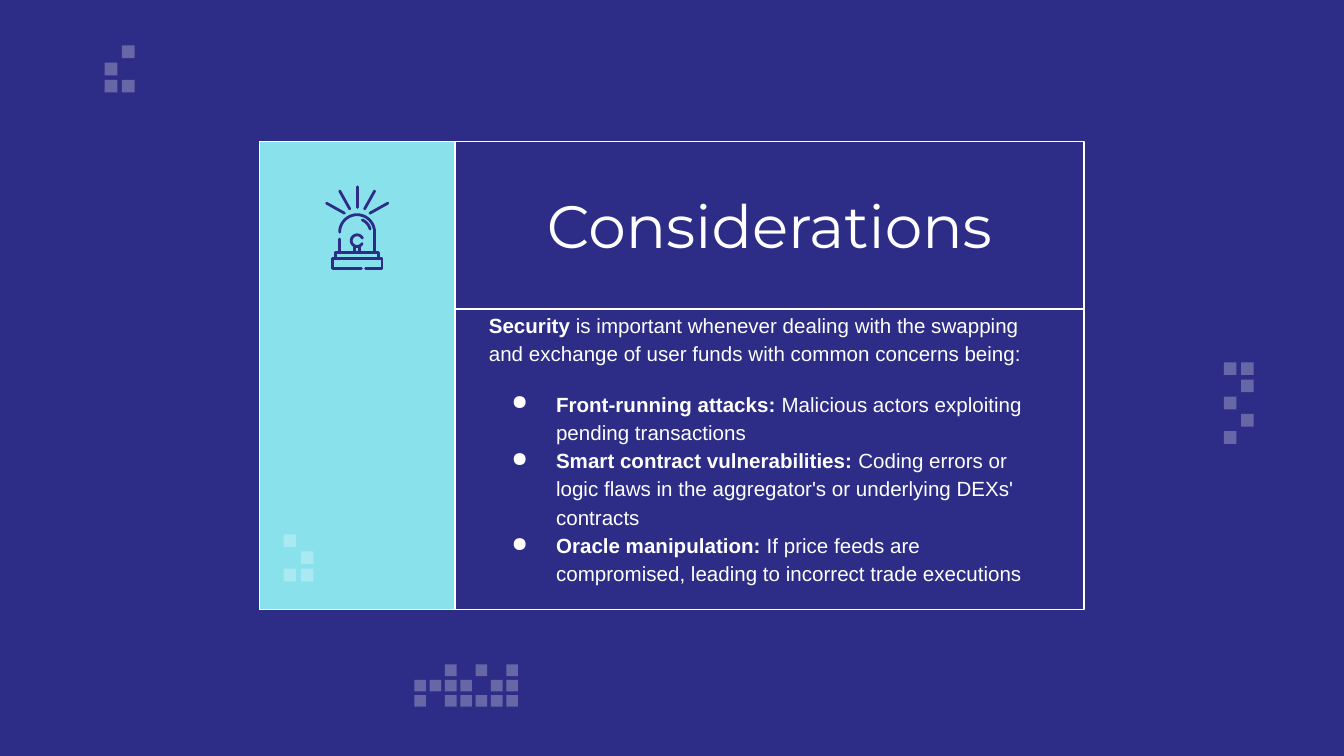
"""Builds the Considerations slide with its security card and pixel ornaments."""
from dataclasses import dataclass
from math import cos, radians, sin

from lxml.etree import SubElement
from pptx import Presentation
from pptx.dml.color import RGBColor
from pptx.enum.shapes import MSO_CONNECTOR as Connector, MSO_SHAPE as Shape
from pptx.enum.text import MSO_ANCHOR as Anchor, PP_ALIGN as Align
from pptx.oxml.ns import qn
from pptx.util import Cm, Pt


@dataclass(frozen=True)
class Theme:
    navy: RGBColor = RGBColor.from_string("2D2D87")
    aqua: RGBColor = RGBColor.from_string("89E1EC")
    white: RGBColor = RGBColor.from_string("FFFFFF")
    title_font: str = "Montserrat"
    body_font: str = "Arial"
    title_size: int = 32
    body_size: int = 11
    border: float = 0.75
    stroke: float = 1.5
    pixel_alpha: int = 28000


THEME = Theme()
TITLE = [("", "Considerations")]
INTRO = [("Security", " is important whenever dealing with the swapping "
          "and exchange of user funds with common concerns being:")]
CONCERNS = [
    ("Front-running attacks:", " Malicious actors exploiting pending transactions"),
    ("Smart contract vulnerabilities:", " Coding errors or logic flaws in the "
     "aggregator's or underlying DEXs' contracts"),
    ("Oracle manipulation:", " If price feeds are compromised, leading to "
     "incorrect trade executions"),
]

CARD_LEFT, CARD_TOP, SIDE_WIDTH, MAIN_WIDTH = 4.9, 2.67, 3.7, 11.89
TITLE_HEIGHT, BODY_HEIGHT = 3.17, 5.68
INSET = 0.64

BACK_PIXELS = [
    (23.13, 6.85, 0.24, 0.325, ["##", ".#", "#.", ".#", "#."]),
    (1.98, 0.86, 0.24, 0.325, [".#", "#.", "##"]),
    (7.83, 12.56, 0.22, 0.29, ["..#.#.#", "####.##", "#.#####"]),
]
CARD_PIXELS = (5.36, 10.1, 0.24, 0.325, ["#.", ".#", "##"])

ICON_X = CARD_LEFT + SIDE_WIDTH / 2
DOME_Y, BULB_Y, BASE_Y = 4.39, 4.55, 4.77
RAYS = [(0, 3.53, 0, 3.92)] + [
    (side * x1, y1, side * x2, y2)
    for side in (-1, 1)
    for x1, y1, x2, y2 in [(0.33, 3.61, 0.14, 3.95), (0.58, 3.84, 0.24, 4.03)]
]
STEMS = [(x, 4.67, x, BASE_Y) for x in (-0.05, 0.05)]
LEFT_WALL = (-0.33, 4.52, -0.33, BASE_Y)


def arc(center_y, radius, start, end, steps=24):
    angles = [radians(start + (end - start) * i / steps) for i in range(steps + 1)]
    return [(radius * cos(a), center_y + radius * sin(a)) for a in angles]


OUTLINES = [
    arc(DOME_Y, 0.33, 180, 360) + [(0.33, BASE_Y)],
    arc(DOME_Y, 0.25, -67, -14),
    arc(BULB_Y, 0.11, -25, -330),
    [(-0.41, 4.89), (-0.41, BASE_Y), (0.41, BASE_Y), (0.41, 4.89)],
    [(0.08, 5.08), (-0.47, 5.08), (-0.47, 4.89), (0.47, 4.89), (0.47, 5.08), (0.16, 5.08)],
]


def add_rectangle(shapes, left, top, width, height, color, border=None):
    shape = shapes.add_shape(Shape.RECTANGLE, Cm(left), Cm(top), Cm(width), Cm(height))
    shape.shadow.inherit = False
    shape.fill.solid()
    shape.fill.fore_color.rgb = color
    if border:
        shape.line.color.rgb = border
        shape.line.width = Pt(THEME.border)
    else:
        shape.line.fill.background()
    return shape


def add_pixels(slide, left, top, size, pitch, rows):
    group = slide.shapes.add_group_shape()
    for row, cells in enumerate(rows):
        for column, cell in enumerate(cells):
            if cell == "#":
                shape = add_rectangle(group.shapes, left + column * pitch,
                                      top + row * pitch, size, size, THEME.white)
                color = next(shape._element.spPr.iter(qn("a:srgbClr")))
                SubElement(color, qn("a:alpha"), val=str(THEME.pixel_alpha))


def style_stroke(shape):
    shape.line.color.rgb = THEME.navy
    shape.line.width = Pt(THEME.stroke)
    shape._element.spPr.find(qn("a:ln")).set("cap", "rnd")


def add_icon(slide):
    group = slide.shapes.add_group_shape()
    for x1, y1, x2, y2 in [*RAYS, *STEMS, LEFT_WALL]:
        connector = group.shapes.add_connector(
            Connector.STRAIGHT, Cm(ICON_X + x1), Cm(y1), Cm(ICON_X + x2), Cm(y2))
        style_stroke(connector)
        SubElement(connector._element.spPr, qn("a:effectLst"))
    for outline in OUTLINES:
        points = [(Cm(ICON_X + x), Cm(y)) for x, y in outline]
        builder = group.shapes.build_freeform(*points[0])
        builder.add_line_segments(points[1:], close=False)
        shape = builder.convert_to_shape()
        shape.fill.background()
        shape.shadow.inherit = False
        style_stroke(shape)


def add_bullet(paragraph):
    properties = paragraph._p.get_or_add_pPr()
    properties.set("marL", str(Cm(1.27)))
    properties.set("indent", str(Cm(-0.84)))
    color = SubElement(properties, qn("a:buClr"))
    SubElement(color, qn("a:srgbClr"), val=str(THEME.white))
    SubElement(properties, qn("a:buChar"), char="●")


def add_text(shape, items, *, font, size, align=Align.LEFT, anchor=Anchor.TOP,
             inset_top=INSET, spacing=1.0, before=0, bullets=False):
    frame = shape.text_frame
    frame.word_wrap = True
    frame.vertical_anchor = anchor
    frame.margin_left = frame.margin_right = frame.margin_bottom = Cm(INSET)
    frame.margin_top = Cm(inset_top)
    for index, (lead, rest) in enumerate(items):
        paragraph = frame.paragraphs[0] if not frame.text else frame.add_paragraph()
        if bullets:
            add_bullet(paragraph)
        paragraph.alignment = align
        paragraph.line_spacing = spacing
        paragraph.space_before = Pt(0 if index else before)
        for text, bold in ((lead, True), (rest, False)):
            if text:
                run = paragraph.add_run()
                run.text = text
                run.font.name = font
                run.font.size = Pt(size)
                run.font.bold = bold
                run.font.color.rgb = THEME.white


def main():
    presentation = Presentation()
    presentation.slide_width, presentation.slide_height = Cm(25.4), Cm(14.29)
    slide = presentation.slides.add_slide(presentation.slide_layouts[6])
    slide.background.fill.solid()
    slide.background.fill.fore_color.rgb = THEME.navy
    for pixels in BACK_PIXELS:
        add_pixels(slide, *pixels)

    main_left = CARD_LEFT + SIDE_WIDTH
    title = add_rectangle(slide.shapes, main_left, CARD_TOP, MAIN_WIDTH, TITLE_HEIGHT,
                          THEME.navy, THEME.white)
    add_text(title, TITLE, font=THEME.title_font, size=THEME.title_size,
             align=Align.CENTER, anchor=Anchor.MIDDLE)
    body = add_rectangle(slide.shapes, main_left, CARD_TOP + TITLE_HEIGHT, MAIN_WIDTH,
                         BODY_HEIGHT, THEME.navy, THEME.white)
    body_format = dict(font=THEME.body_font, size=THEME.body_size, inset_top=0, spacing=1.15)
    add_text(body, INTRO, **body_format)
    add_text(body, CONCERNS, before=12, bullets=True, **body_format)

    add_rectangle(slide.shapes, CARD_LEFT, CARD_TOP, SIDE_WIDTH,
                  TITLE_HEIGHT + BODY_HEIGHT, THEME.aqua, THEME.white)
    add_icon(slide)
    add_pixels(slide, *CARD_PIXELS)
    presentation.save("out.pptx")


if __name__ == "__main__":
    main()
